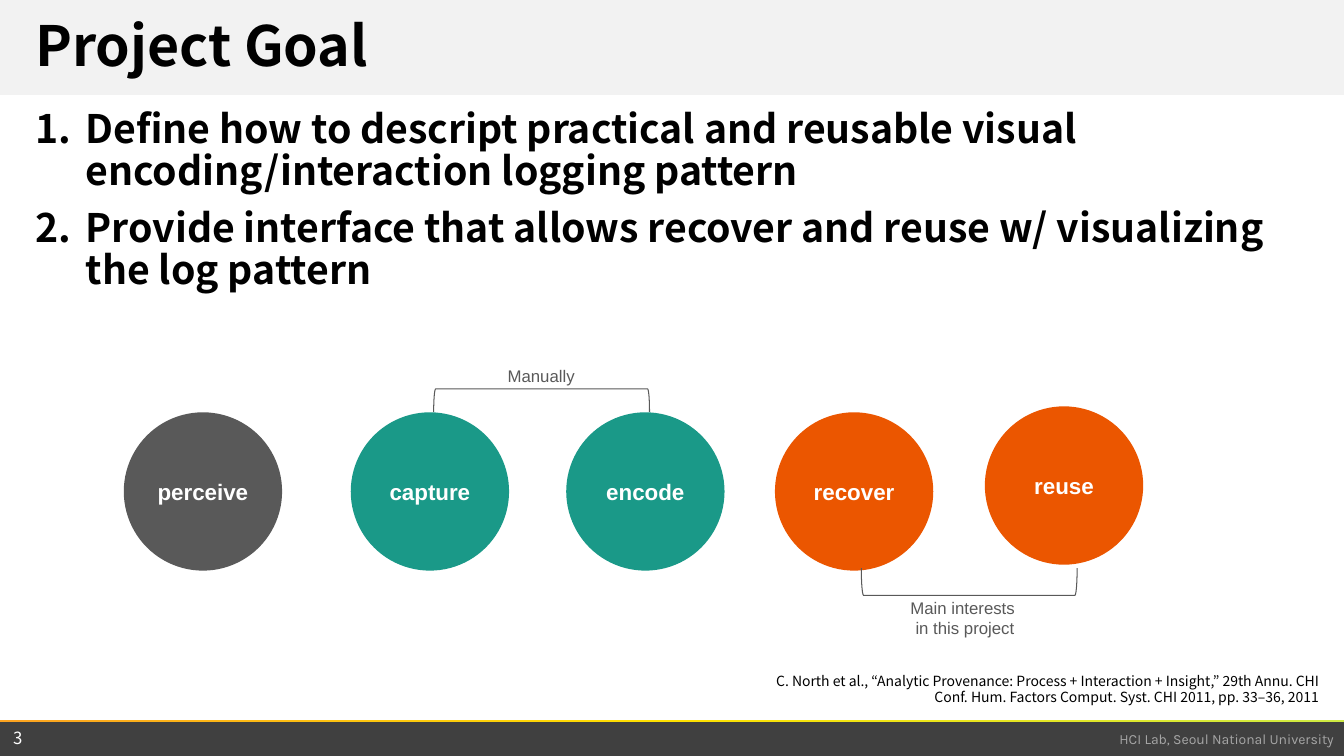
from lxml.etree import SubElement
from pptx import Presentation
from pptx.dml.color import RGBColor
from pptx.enum.shapes import MSO_SHAPE
from pptx.enum.text import MSO_ANCHOR, PP_ALIGN
from pptx.oxml.ns import qn
from pptx.util import Cm, Pt

BLACK = RGBColor(0x00, 0x00, 0x00)
WHITE = RGBColor(0xFF, 0xFF, 0xFF)
PALE = RGBColor(0xF2, 0xF2, 0xF2)
SILVER = RGBColor(0xA6, 0xA6, 0xA6)
GRAY = RGBColor(0x59, 0x59, 0x59)
DARK = RGBColor(0x40, 0x40, 0x40)
TEAL = RGBColor(0x1A, 0x99, 0x88)
ORANGE = RGBColor(0xEB, 0x56, 0x00)
STRIPE_STOPS = ((0, "FCA320"), (50000, "FEE000"), (100000, "CEEA42"))

SLIDE_WIDTH, SLIDE_HEIGHT = 33.87, 19.05
NOTO = "Noto Sans CJK KR"

TITLE = {"name": NOTO, "size": Pt(39.6), "bold": True, "color": BLACK}
GOAL = {"name": NOTO, "size": Pt(28), "bold": True, "color": BLACK}
CITATION = {"name": NOTO, "size": Pt(10), "color": BLACK}
PAGE = {"name": NOTO, "size": Pt(12), "color": WHITE}
LAB = {"name": "Karla", "size": Pt(10), "color": SILVER}
STEP = {"name": "Arial", "size": Pt(16), "bold": True, "color": WHITE}
NOTE = {"name": "Arial", "size": Pt(12), "color": GRAY}


class SlideBuilder:
    def __init__(self, presentation):
        self.slide = presentation.slides.add_slide(presentation.slide_layouts[5])

    def fill_text(self, frame, lines, style, align=PP_ALIGN.LEFT,
                  anchor=MSO_ANCHOR.TOP, **spacing):
        frame.word_wrap = True
        frame.vertical_anchor = anchor
        for index, line in enumerate(lines):
            paragraph = frame.add_paragraph() if index else frame.paragraphs[0]
            for name, value in {"alignment": align, **spacing}.items():
                setattr(paragraph, name, value)
            run = paragraph.add_run()
            run.text = line
            for name, value in style.items():
                if name == "color":
                    run.font.color.rgb = value
                else:
                    setattr(run.font, name, value)

    def title(self, box, text):
        title = self.slide.shapes.title
        title.element.getparent().append(title.element)
        for name, value in zip(("left", "top", "width", "height"), box):
            setattr(title, name, Cm(value))
        self.fill_text(title.text_frame, [text], TITLE,
                       anchor=MSO_ANCHOR.MIDDLE, line_spacing=0.9)

    def text(self, box, lines, style, **layout):
        text_box = self.slide.shapes.add_textbox(*map(Cm, box))
        self.fill_text(text_box.text_frame, lines, style, **layout)
        return text_box

    def numbered_list(self, box, lines):
        text_box = self.text(box, lines, GOAL, line_spacing=0.9, space_before=Pt(10))
        for paragraph in text_box.text_frame.paragraphs:
            properties = paragraph._p.get_or_add_pPr()
            properties.set("marL", str(Cm(1.27)))
            properties.set("indent", str(-Cm(1.27)))
            SubElement(properties, qn("a:buAutoNum"), type="arabicPeriod")

    def shape(self, kind, box, color=None):
        shape = self.slide.shapes.add_shape(kind, *map(Cm, box))
        shape.shadow.inherit = False
        shape.line.fill.background()
        if color is None:
            shape.fill.background()
        else:
            shape.fill.solid()
            shape.fill.fore_color.rgb = color
        return shape

    def stripe(self, box):
        shape = self.shape(MSO_SHAPE.RECTANGLE, box)
        shape.fill.gradient()
        shape.fill.gradient_angle = 0
        stops = shape.element.spPr.find(qn("a:gradFill")).find(qn("a:gsLst"))
        for stop in list(stops):
            stops.remove(stop)
        for position, color in STRIPE_STOPS:
            stop = SubElement(stops, qn("a:gs"), pos=str(position))
            SubElement(stop, qn("a:srgbClr"), val=color)

    def circle(self, left, top, label, color):
        shape = self.shape(MSO_SHAPE.OVAL, (left, top, 3.99, 3.99), color)
        self.fill_text(shape.text_frame, [label], STEP,
                       align=PP_ALIGN.CENTER, anchor=MSO_ANCHOR.MIDDLE)

    def bracket(self, box, rotation):
        shape = self.shape(MSO_SHAPE.RIGHT_BRACKET, box)
        shape.rotation = rotation
        shape.line.color.rgb = GRAY
        shape.line.width = Pt(0.75)


def main():
    presentation = Presentation()
    presentation.slide_width = Cm(SLIDE_WIDTH)
    presentation.slide_height = Cm(SLIDE_HEIGHT)
    builder = SlideBuilder(presentation)

    builder.shape(MSO_SHAPE.RECTANGLE, (0, 0, SLIDE_WIDTH, 2.39), PALE)
    builder.shape(MSO_SHAPE.RECTANGLE, (0, 18.16, SLIDE_WIDTH, 0.89), DARK)
    builder.text((20.8, 18.29, 13.06, 0.69), ["HCI Lab, Seoul National University"],
                 LAB, align=PP_ALIGN.RIGHT)
    builder.stripe((0, 18.14, SLIDE_WIDTH, 0.05))
    builder.title((0.64, 0.28, 32.59, 1.88), "Project Goal")
    builder.text((0.08, 18.19, 1.27, 0.79), ["3"], PAGE, anchor=MSO_ANCHOR.MIDDLE)
    builder.numbered_list((0.64, 2.64, 32.59, 15.21), [
        "Define how to descript practical and reusable visual encoding/"
        "interaction logging pattern",
        "Provide interface that allows recover and reuse w/ visualizing the log pattern",
    ])

    for left, top, label, color in (
        (3.12, 10.39, "perceive", GRAY),
        (8.84, 10.39, "capture", TEAL),
        (14.27, 10.39, "encode", TEAL),
        (19.53, 10.39, "recover", ORANGE),
        (24.82, 10.24, "reuse", ORANGE),
    ):
        builder.circle(left, top, label, color)

    builder.text((11.61, 9.09, 4.06, 0.76), ["Manually"], NOTE, align=PP_ALIGN.CENTER)
    builder.bracket((13.36, 7.37, 0.58, 5.44), 270)
    builder.text((21.82, 14.94, 5, 1.27), ["Main interests ", "in this project"],
                 NOTE, align=PP_ALIGN.CENTER)
    builder.bracket((24.08, 11.94, 0.69, 5.44), 90)
    builder.text((19.18, 16.81, 14.3, 1.12), [
        "C. North et al., “Analytic Provenance: Process + Interaction + Insight,” "
        "29th Annu. CHI Conf. Hum. Factors Comput. Syst. CHI 2011, pp. 33–36, 2011",
    ], CITATION, align=PP_ALIGN.RIGHT)

    presentation.save("out.pptx")


if __name__ == "__main__":
    main()
